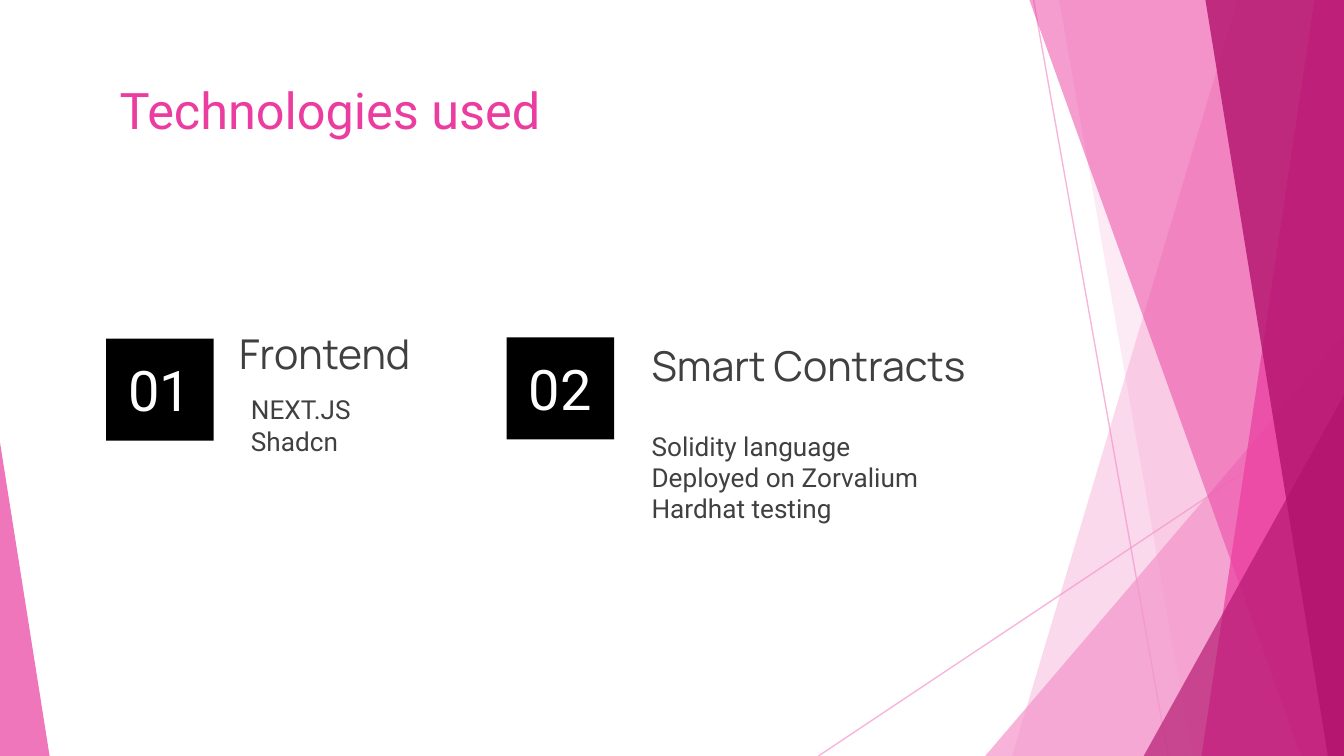
"""Build the "Technologies used" slide with its faceted pink backdrop."""
from lxml.etree import SubElement
from pptx import Presentation
from pptx.dml.color import RGBColor as Rgb
from pptx.enum.shapes import MSO_CONNECTOR as Connector, MSO_SHAPE as Preset
from pptx.enum.text import MSO_ANCHOR as Anchor, MSO_AUTO_SIZE as AutoSize, PP_ALIGN as Align
from pptx.oxml.ns import qn
from pptx.util import Pt

WIDTH, HEIGHT = 720, 405
COLORS = {"pale": "F496CB", "pink": "EB3D9F", "plum": "B2136D",
          "ink": "404040", "black": "000000", "white": "FFFFFF"}


class Deck:
    """Hold the style and the current slide."""

    body, display = "Roboto", "Manrope"
    inset = 7.2

    def __init__(self):
        """Start a deck with one title-only slide."""
        self.deck = Presentation()
        self.deck.slide_width, self.deck.slide_height = Pt(WIDTH), Pt(HEIGHT)
        self.slide = self.deck.slides.add_slide(self.deck.slide_layouts[5])
        self.shapes = self.slide.shapes

    def paint(self, fill, color, alpha=100):
        """Apply a solid colour with an opacity in percent."""
        fill.solid()
        fill.fore_color.rgb = Rgb.from_string(COLORS[color])
        if alpha < 100:
            for tint in fill._xPr.iter(qn("a:srgbClr")):
                SubElement(tint, qn("a:alpha"), val=str(alpha * 1000))

    def finish(self, shape, color, alpha=100):
        """Fill a shape and remove its outline and shadow."""
        shape.shadow.inherit = False
        self.paint(shape.fill, color, alpha)
        shape.line.fill.background()

    def ray(self, start, end):
        """Draw a thin translucent line."""
        ray = self.shapes.add_connector(
            Connector.STRAIGHT, *(Pt(length) for length in (*start, *end)))
        ray.line.width = Pt(0.75)
        self.paint(ray.line.fill, "pale", 70)
        SubElement(ray._element.spPr, qn("a:effectLst"))

    def facet(self, top_x, bottom_x, color, alpha):
        """Fill from a slanted left edge to the right side of the slide."""
        outline = self.shapes.build_freeform(Pt(top_x), 0)
        outline.add_line_segments([
            (Pt(WIDTH), 0), (Pt(WIDTH), Pt(HEIGHT)), (Pt(bottom_x), Pt(HEIGHT))])
        self.finish(outline.convert_to_shape(), color, alpha)

    def wedge(self, left, top, width, apex, color, alpha):
        """Draw a right triangle standing on the bottom edge."""
        wedge = self.shapes.add_shape(
            Preset.ISOSCELES_TRIANGLE, Pt(left), Pt(top), Pt(width), Pt(HEIGHT - top))
        wedge.adjustments[0] = apex
        self.finish(wedge, color, alpha)

    def fill_text(self, shape, lines, size, color, font=body, anchor=Anchor.TOP, align=Align.LEFT):
        """Put one paragraph per line into a shape."""
        frame = shape.text_frame
        frame.word_wrap, frame.auto_size = True, AutoSize.NONE
        frame.vertical_anchor = anchor
        frame.margin_left = frame.margin_right = Pt(self.inset)
        frame.margin_top = frame.margin_bottom = Pt(self.inset)
        for index, line in enumerate(lines):
            paragraph = frame.add_paragraph() if index else frame.paragraphs[0]
            paragraph.alignment = align
            run = paragraph.add_run()
            run.text = line
            run.font.name, run.font.size = font, Pt(size)
            run.font.color.rgb = Rgb.from_string(COLORS[color])

    def title(self, wording, left, top, width, height):
        """Place and fill the slide title."""
        title = self.shapes.title
        title.left, title.top = Pt(left), Pt(top)
        title.width, title.height = Pt(width), Pt(height)
        self.fill_text(title, [wording], 27, "pink")

    def badge(self, number, left, top):
        """Draw a black numbered box."""
        badge = self.shapes.add_shape(Preset.RECTANGLE, Pt(left), Pt(top), Pt(57.6), Pt(54.7))
        self.finish(badge, "black")
        self.fill_text(badge, [number], 30, "white", anchor=Anchor.MIDDLE, align=Align.CENTER)

    def text(self, lines, box, size, **style):
        """Add a dark text box."""
        self.fill_text(self.shapes.add_textbox(*(Pt(length) for length in box)),
                       lines, size, "ink", **style)

    def heading(self, wording, box):
        """Add a section heading that sits on the bottom of its box."""
        self.text([wording], box, 22, font=self.display, anchor=Anchor.BOTTOM)


def main():
    """Compose the slide and save it."""
    page = Deck()
    page.ray((553.7, 0), (625.7, HEIGHT))
    page.ray((WIDTH, 217.4), (438.5, HEIGHT))
    page.facet(663.1, 542.2, "pale", 36)
    page.facet(567.4, 638.6, "pale", 20)
    page.wedge(527.8, 180, 192.2, 1, "pale", 72)
    page.facet(551.5, 697, "pink", 50)
    page.facet(704.2, 643.7, "pink", 70)
    page.facet(645.8, 711.4, "plum", 80)
    page.wedge(612.7, 211.7, 107.3, 1, "plum", 66)
    page.wedge(0, 236.9, 26.6, 0, "pink", 70)

    page.title("Technologies used", 56.9, 35.3, 607, 45.4)

    page.badge("01", 56.9, 181.4)
    page.heading("Frontend", (121, 181.4, 172.8, 28.1))
    page.text(["NEXT.JS", "Shadcn"], (127.4, 203.8, 172.8, 46.1), 14)

    page.badge("02", 271.4, 180.7)
    page.heading("Smart Contracts", (342, 180.7, 232.6, 35.3))
    page.text(["Solidity language", "Deployed on Zorvalium", "Hardhat testing"],
              (342, 223.2, 172.8, 93.6), 14)
    page.deck.save("out.pptx")


if __name__ == "__main__":
    main()
